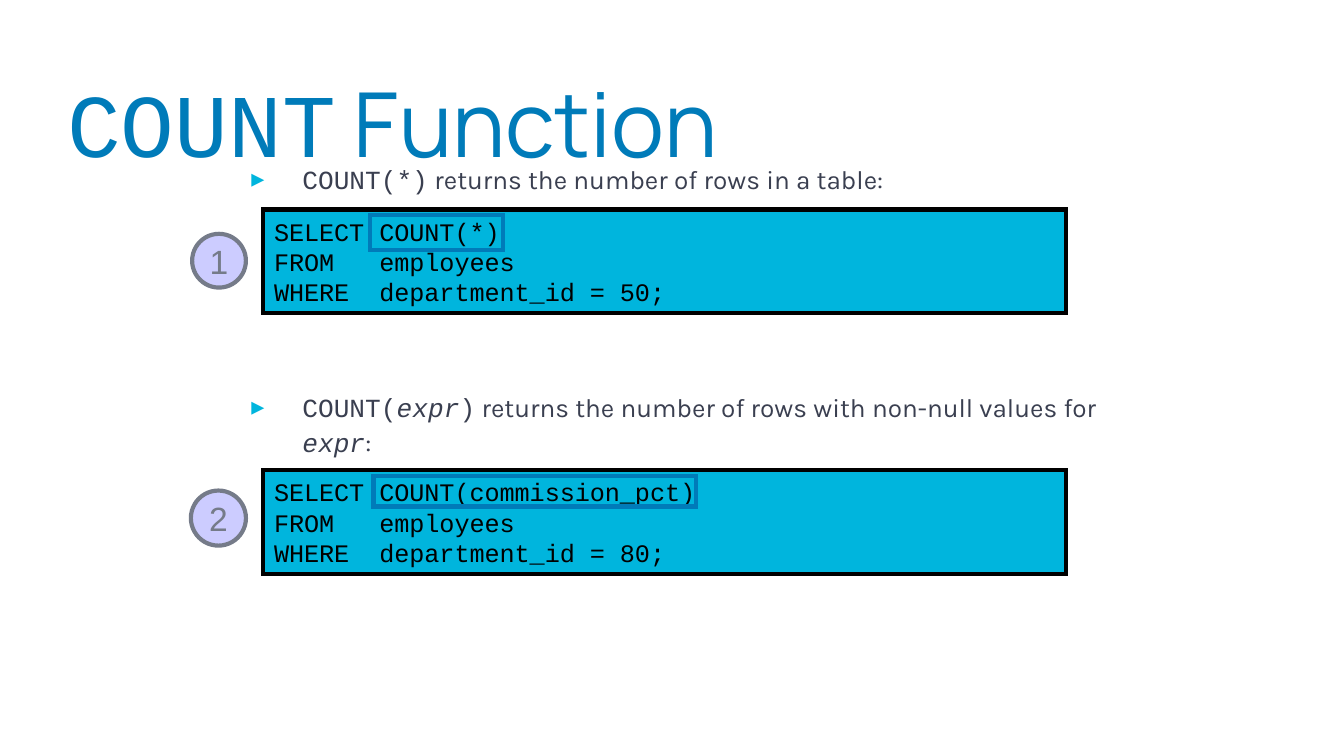
"""Build a slide that explains the SQL COUNT function with two queries."""
from lxml.etree import SubElement
from pptx import Presentation
from pptx.dml.color import RGBColor
from pptx.enum.shapes import MSO_SHAPE as Preset
from pptx.enum.text import MSO_ANCHOR as Anchor, MSO_AUTO_SIZE as AutoSize, PP_ALIGN as Align
from pptx.oxml.ns import qn
from pptx.util import Inches, Pt

COLORS = {
    "heading": "007BB9",
    "accent": "00B5DD",
    "body": "3A3F50",
    "code": "000000",
    "badge": "CCCCFF",
    "badge_edge": "757B89",
}
CODE, TEXT, HEADING, NUMBER = "Courier New", "Karla", "Manrope", "Arial"


class CountSlide:
    """Holds the style and the current slide."""

    def __init__(self, deck):
        self.slide = deck.slides.add_slide(deck.slide_layouts[1])

    def color(self, name):
        return RGBColor.from_string(COLORS[name])

    def format_run(self, run, font, size, color, italic=False):
        run.font.name = font
        run.font.size = Pt(size)
        run.font.italic = italic
        run.font.color.rgb = self.color(color)

    def place(self, holder, left, top, width, height):
        holder.left, holder.top = Inches(left), Inches(top)
        holder.width, holder.height = Inches(width), Inches(height)
        frame = holder.text_frame
        frame.margin_left = frame.margin_right = frame.margin_top = frame.margin_bottom = 0
        frame.vertical_anchor = Anchor.TOP
        frame.auto_size = AutoSize.NONE
        frame.word_wrap = True
        return frame

    def title(self, parts, *bounds):
        heading = self.place(self.slide.shapes.title, *bounds).paragraphs[0]
        heading.alignment = Align.LEFT
        heading.line_spacing = 0.8
        for text, font in parts:
            run = heading.add_run()
            run.text = text
            self.format_run(run, font, 48, "heading")

    def bullets(self, items, gap, *bounds):
        frame = self.place(self.slide.placeholders[1], *bounds)
        for index, parts in enumerate(items):
            item = frame.add_paragraph() if index else frame.paragraphs[0]
            item.line_spacing = 1.1
            item.space_before = Pt(gap if index else 0)
            self.add_marker(item)
            for text, font, italic in parts:
                run = item.add_run()
                run.text = text
                self.format_run(run, font, 14, "body", italic)

    def add_marker(self, item):
        props = item._p.get_or_add_pPr()
        props.set("marL", str(Inches(0.5)))
        props.set("indent", str(Inches(-0.38)))
        marker_color = SubElement(props, qn("a:buClr"))
        SubElement(marker_color, qn("a:srgbClr"), val=COLORS["accent"])
        SubElement(props, qn("a:buFont"), typeface=TEXT)
        SubElement(props, qn("a:buChar"), char="▸")

    def outline(self, preset, edge, fill, *bounds):
        shape = self.slide.shapes.add_shape(preset, *map(Inches, bounds))
        shape.shadow.inherit = False
        shape.line.color.rgb = self.color(edge)
        shape.line.width = Pt(2.25)
        SubElement(shape.line._get_or_add_ln(), qn("a:miter"), lim="800000")
        if fill:
            shape.fill.solid()
            shape.fill.fore_color.rgb = self.color(fill)
        else:
            shape.fill.background()
        return shape

    def label(self, shape, text, font, size, color, align):
        frame = shape.text_frame
        frame.text = text
        frame.word_wrap = False
        frame.vertical_anchor = Anchor.MIDDLE
        frame.margin_left = frame.margin_right = Inches(0.08)
        frame.margin_top = frame.margin_bottom = Inches(0.04)
        for line in frame.paragraphs:
            line.alignment = align
            for run in line.runs:
                self.format_run(run, font, size, color)

    def query(self, code, top):
        panel = self.outline(Preset.RECTANGLE, "code", "accent", 1.96, top, 5.97, 0.77)
        self.label(panel, code, CODE, 13.5, "code", Align.LEFT)

    def highlight(self, *bounds):
        self.outline(Preset.RECTANGLE, "heading", None, *bounds)

    def badge(self, number, left, top, size):
        circle = self.outline(Preset.OVAL, "badge_edge", "badge", left, top, size, size)
        self.label(circle, number, NUMBER, 18, "badge_edge", Align.CENTER)


def main():
    deck = Presentation()
    deck.slide_width = Inches(10)
    deck.slide_height = deck.slide_width * 9 // 16
    page = CountSlide(deck)
    page.title([("COUNT", CODE), (" Function", HEADING)], 0.5, 0.66, 6.17, 1.18)
    count_rows = [
        ("COUNT(*)", CODE, False),
        (" returns the number of rows in a table:", TEXT, False),
    ]
    count_values = [
        ("COUNT(", CODE, False),
        ("expr", CODE, True),
        (")", CODE, False),
        (" returns the number of rows with non-null values for ", TEXT, False),
        ("expr", CODE, True),
        (":", TEXT, False),
    ]
    page.bullets([count_rows, count_values], 104, 1.75, 1.19, 6.49, 2.55)

    examples = [
        ("COUNT(*)", 50, 1.56, (2.75, 1.6, 0.99, 0.26), (1.43, 1.74, 0.4)),
        ("COUNT(commission_pct)", 80, 3.5, (2.78, 3.54, 2.4, 0.23), (1.42, 3.65, 0.41)),
    ]
    for number, (call, department, top, frame, circle) in enumerate(examples, 1):
        page.query(
            f"SELECT {call}\nFROM   employees\nWHERE  department_id = {department};", top
        )
        page.highlight(*frame)
        page.badge(str(number), *circle)
    deck.save("out.pptx")


if __name__ == "__main__":
    main()
